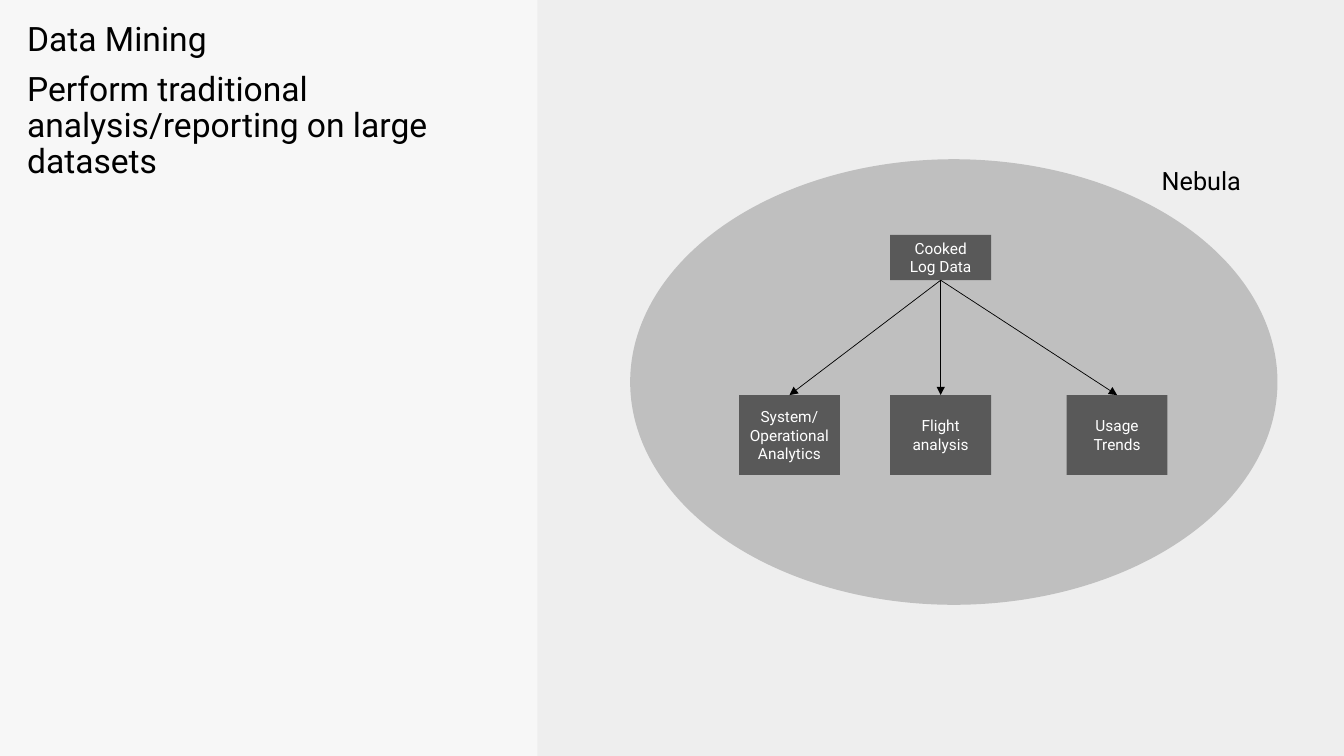
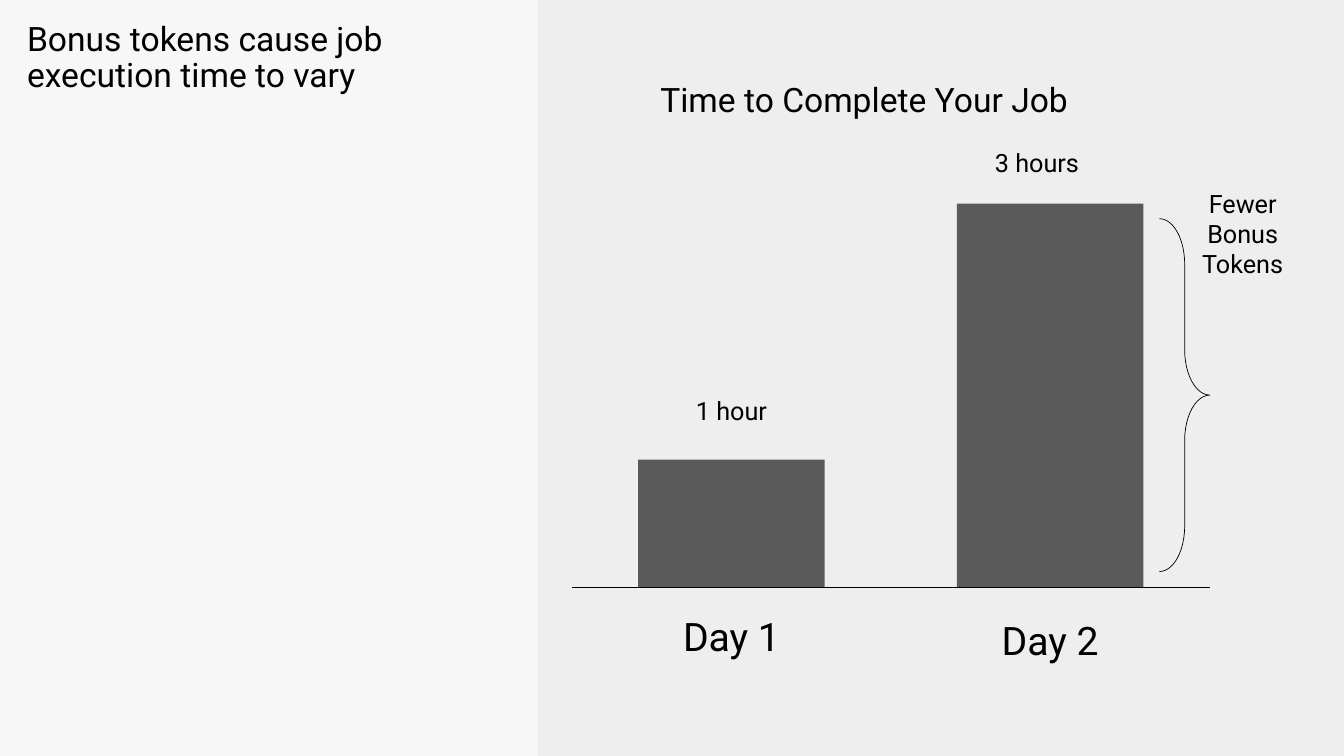
from dataclasses import dataclass

from lxml import etree
from pptx import Presentation
from pptx.dml.color import RGBColor
from pptx.enum.shapes import MSO_CONNECTOR, MSO_SHAPE
from pptx.enum.text import MSO_ANCHOR, PP_ALIGN
from pptx.oxml.ns import qn
from pptx.util import Inches, Pt

RECTANGLE = MSO_SHAPE.RECTANGLE
OVAL = MSO_SHAPE.OVAL
RIGHT_BRACE = MSO_SHAPE.RIGHT_BRACE
STRAIGHT = MSO_CONNECTOR.STRAIGHT
CENTER, LEFT = PP_ALIGN.CENTER, PP_ALIGN.LEFT
MIDDLE, TOP = MSO_ANCHOR.MIDDLE, MSO_ANCHOR.TOP
TOP_SIDE, BOTTOM_SIDE = 0, 2


@dataclass(frozen=True)
class Theme:
    font: str = "Roboto"
    page: str = "F7F7F7"
    panel: str = "EEEEEE"
    cloud: str = "BFBFBF"
    block: str = "595959"
    ink: str = "000000"
    light: str = "FFFFFF"
    small: int = 11
    label: int = 18
    heading: int = 24
    day: int = 28
    line: float = 0.5


def apply_format(target, values):
    for name, value in values.items():
        setattr(target, name, value)


class SlideBuilder:
    def __init__(self, deck, theme):
        self.deck = deck
        self.theme = theme
        self.page = None

    def new_page(self, paragraphs):
        """Start a slide with its side panel and the text on the left."""
        self.page = self.deck.slides.add_slide(self.deck.slide_layouts[6])
        background = self.page.background.fill
        background.solid()
        background.fore_color.rgb = RGBColor.from_string(self.theme.page)
        self.shape(RECTANGLE, 5.33, 0, 8, 7.5, self.theme.panel)
        self.text(paragraphs, 0.17, 0.17, 4.92, 7.17, self.theme.heading,
                  anchor=TOP, alignment=LEFT,
                  line_spacing=0.9, space_before=Pt(10))

    def set_text(self, shape, paragraphs, size, color, anchor=MIDDLE, **para_format):
        frame = shape.text_frame
        apply_format(frame, {"word_wrap": True, "vertical_anchor": anchor})
        for index, content in enumerate(paragraphs):
            para = frame.paragraphs[0] if index == 0 else frame.add_paragraph()
            apply_format(para, {"alignment": CENTER, **para_format})
            span = para.add_run()
            span.text = content
            apply_format(span.font, {"name": self.theme.font, "size": Pt(size)})
            span.font.color.rgb = RGBColor.from_string(color)

    def text(self, paragraphs, left, top, width, height, size, **text_format):
        box = self.page.shapes.add_textbox(
            Inches(left), Inches(top), Inches(width), Inches(height))
        self.set_text(box, paragraphs, size, self.theme.ink, **text_format)

    def shape(self, kind, left, top, width, height, fill):
        shape = self.page.shapes.add_shape(
            kind, Inches(left), Inches(top), Inches(width), Inches(height))
        shape.shadow.inherit = False
        shape.fill.solid()
        shape.fill.fore_color.rgb = RGBColor.from_string(fill)
        shape.line.fill.background()
        return shape

    def block(self, content, left, top, width, height):
        block = self.shape(RECTANGLE, left, top, width, height, self.theme.block)
        self.set_text(block, [content], self.theme.small, self.theme.light)
        return block

    def stroke(self, shape):
        shape.line.color.rgb = RGBColor.from_string(self.theme.ink)
        shape.line.width = Pt(self.theme.line)

    def brace(self, left, top, width, height):
        brace = self.shape(RIGHT_BRACE, left, top, width, height, self.theme.panel)
        brace.fill.background()
        brace.adjustments[0] = 0.9
        self.stroke(brace)

    def line(self, x1, y1, x2, y2):
        line = self.page.shapes.add_connector(
            STRAIGHT, Inches(x1), Inches(y1), Inches(x2), Inches(y2))
        self.stroke(line)
        etree.SubElement(line._element.spPr, qn("a:effectLst"))
        return line

    def arrow(self, source, target):
        """Join the bottom of one block to the top of another."""
        arrow = self.line(0, 0, 1, 1)
        arrow.begin_connect(source, BOTTOM_SIDE)
        arrow.end_connect(target, TOP_SIDE)
        outline = arrow._element.spPr.find(qn("a:ln"))
        etree.SubElement(outline, qn("a:tailEnd"), type="triangle")


def build_data_mining(slides):
    slides.new_page(["Data Mining",
                     "Perform traditional analysis/reporting on large datasets"])
    slides.shape(OVAL, 6.25, 1.58, 6.42, 4.42, slides.theme.cloud)
    log_data = slides.block("Cooked Log Data", 8.83, 2.33, 1, 0.45)
    uses = [("System/ Operational Analytics", 7.33),
            ("Flight analysis", 8.83),
            ("Usage Trends", 10.58)]
    for content, left in uses:
        slides.arrow(log_data, slides.block(content, left, 3.92, 1, 0.79))
    slides.text(["Nebula"], 11.16, 1.58, 1.51, 0.42, slides.theme.label)


def build_bonus_tokens(slides):
    theme = slides.theme
    baseline, hour_height, bar_width, label_height = 5.83, 1.27, 1.85, 0.63
    slides.new_page(["Bonus tokens cause job execution time to vary"])
    slides.text(["Time to Complete Your Job"], 5.93, 0.67, 5.28, label_height,
                theme.heading)
    # day, hours, bar left, day top, time, time left, time top
    days = [("Day 1", 1, 6.33, 5.99, "1 hour", 6.33, 3.76),
            ("Day 2", 3, 9.49, 6.03, "3 hours", 9.36, 1.3)]
    for day, hours, left, day_top, time, time_left, time_top in days:
        height = hours * hour_height
        slides.shape(RECTANGLE, left, baseline - height, bar_width, height,
                     theme.block)
        slides.text([day], left, day_top, bar_width, label_height, theme.day)
        slides.text([time], time_left, time_top, bar_width, label_height,
                    theme.label)
    slides.line(5.67, baseline, 12, baseline)
    slides.brace(11.5, 2.17, 0.5, 3.5)
    slides.text(["Fewer", "Bonus", "Tokens"], 11.4, 2, bar_width, label_height,
                theme.label)


def main():
    deck = Presentation()
    apply_format(deck, {"slide_width": Inches(13.33), "slide_height": Inches(7.5)})
    slides = SlideBuilder(deck, Theme())
    build_data_mining(slides)
    build_bonus_tokens(slides)
    deck.save("out.pptx")


if __name__ == "__main__":
    main()
